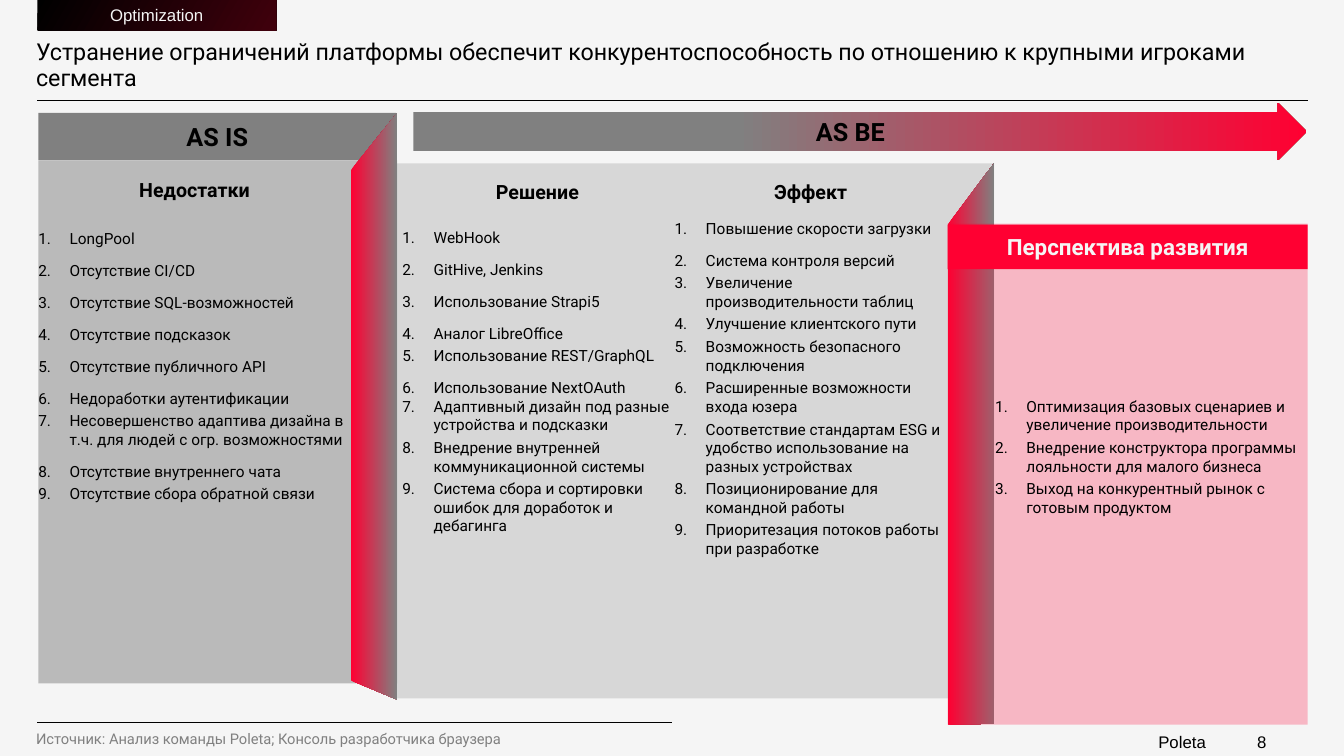
from lxml.etree import SubElement
from pptx import Presentation
from pptx.dml.color import RGBColor
from pptx.enum.shapes import MSO_CONNECTOR as Link, MSO_SHAPE as Form
from pptx.enum.text import MSO_ANCHOR as Anchor, PP_ALIGN as Align
from pptx.oxml.ns import qn
from pptx.util import Inches, Pt

INK = {"black": "000000", "gray": "808080", "red": "FF0032",
       "wine": "40000C", "pale": "F5F5F5"}
WIDE, HIGH = 13.33, 7.5
LEFT, RIGHT = 0.37, 12.97      # page margins
BODY = 2.17                    # top of the lists
HANG = 0.31                    # list indent
FOLD = 0.46                    # width of a folded strip

TITLE = ("Устранение ограничений платформы обеспечит конкурентоспособность "
         "по отношению к крупными игроками сегмента")
SOURCE = "Источник: Анализ команды Poleta; Консоль разработчика браузера"

# heading, its top and height, left, width, list top and height, anchor,
# numbers of the loosely spaced items, numbers without space before, items
COLUMNS = [
    ("Недостатки", 1.59, 0.58, 0.38, 3.1, 2.18, 4.6, Anchor.TOP,
     {1, 2, 3, 4, 5, 6, 8}, {1}, [
         "LongPool",
         "Отсутствие CI/CD",
         "Отсутствие SQL-возможностей",
         "Отсутствие подсказок",
         "Отсутствие публичного API",
         "Недоработки аутентификации",
         "Несовершенство адаптива дизайна в т.ч. для людей с огр. возможностями",
         "Отсутствие внутреннего чата",
         "Отсутствие сбора обратной связи"]),
    ("Решение", 1.62, 0.56, 3.99, 2.68, BODY, 4.76, Anchor.TOP,
     {1, 2, 3, 4, 6}, {1, 7}, [
         "WebHook",
         "GitHive, Jenkins",
         "Использование Strapi5",
         "Аналог LibreOffice",
         "Использование REST/GraphQL",
         "Использование NextOAuth",
         "Адаптивный дизайн под разные устройства и подсказки",
         "Внедрение внутренней коммуникационной системы",
         "Система сбора и сортировки ошибок для доработок и дебагинга"]),
    ("Эффект", 1.62, 0.56, 6.69, 2.7, BODY, 4.76, Anchor.TOP,
     {2}, {1}, [
         "Повышение скорости загрузки",
         "Система контроля версий",
         "Увеличение производительности таблиц",
         "Улучшение клиентского пути",
         "Возможность безопасного подключения",
         "Расширенные возможности входа юзера",
         "Соответствие стандартам ESG и удобство использование на разных устройствах",
         "Позиционирование для командной работы",
         "Приоритезация потоков работы при разработке"]),
    ("", 0, 0, 9.87, 3.08, 2.67, 3.72, Anchor.MIDDLE, set(), {1}, [
        "Оптимизация базовых сценариев и увеличение производительности",
        "Внедрение конструктора программы лояльности для малого бизнеса",
        "Выход на конкурентный рынок с готовым продуктом"]),
]


def tint(name):
    return RGBColor.from_string(INK[name])


def style(para, size, color="black", bold=False, face="Roboto"):
    font = para.font
    font.name, font.size, font.bold = face, Pt(size), bold
    font.color.rgb = tint(color)


def write(shape, text, size, color="black", bold=False, face="Roboto",
          align=Align.LEFT):
    frame = shape.text_frame
    frame.word_wrap = True
    frame.vertical_anchor = Anchor.MIDDLE
    para = frame.paragraphs[0]
    para.text, para.alignment = text, align
    style(para, size, color, bold, face)
    return para


def label(box, *args, **kw):
    return write(slide.shapes.add_textbox(*map(Inches, box)), *args, **kw)


def plain(shape):
    shape.shadow.inherit = False
    shape.line.fill.background()
    return shape


def solid(shape, color, alpha=100):
    """Fill with one colour; alpha is the opacity in percent."""
    shape.fill.solid()
    shape.fill.fore_color.rgb = tint(color)
    if alpha < 100:
        node = shape.fill._xPr.find(".//" + qn("a:srgbClr"))
        SubElement(node, qn("a:alpha"), val=str(alpha * 1000))


def blend(shape, first, last, start=0, angle=0):
    fill = shape.fill
    fill.gradient()
    fill.gradient_angle = angle
    for stop, color, spot in zip(fill.gradient_stops, (first, last), (start, 1)):
        stop.color.rgb, stop.position = tint(color), spot


def block(box, form=Form.RECTANGLE):
    return plain(slide.shapes.add_shape(form, *map(Inches, box)))


def fold(left, outer, inner):
    """Strip whose left edge spans inner and right edge spans outer."""
    right = left + FOLD
    pen = slide.shapes.build_freeform(Inches(right), Inches(outer[1]), 1)
    pen.add_line_segments([(Inches(x), Inches(y)) for x, y in (
        (left, inner[1]), (left, inner[0]), (right, outer[0]))])
    blend(plain(pen.convert_to_shape()), "red", "gray")


def rule(end, y):
    line = slide.shapes.add_connector(
        Link.STRAIGHT, Inches(LEFT), Inches(y), Inches(end), Inches(y))
    line.line.color.rgb, line.line.width = tint("black"), Pt(0.5)
    SubElement(line._element.spPr, qn("a:effectLst"))


def listing(box, anchor, loose, tight, items):
    frame = slide.shapes.add_textbox(*map(Inches, box)).text_frame
    frame.word_wrap, frame.vertical_anchor = True, anchor
    frame.margin_left = frame.margin_right = 0
    frame.margin_top = frame.margin_bottom = 0
    for n, item in enumerate(items, 1):
        para = frame.paragraphs[0] if n == 1 else frame.add_paragraph()
        para.text = item
        para.line_spacing = 1.5 if n in loose else 1.0
        para.space_before = Pt(0 if n in tight else 3)
        props = para._p.get_or_add_pPr()
        props.set("marL", str(Inches(HANG)))
        props.set("indent", str(-Inches(HANG)))
        SubElement(props, qn("a:buFont"), typeface="+mj-lt")
        SubElement(props, qn("a:buAutoNum"), type="arabicPeriod")
        style(para, 11)


deck = Presentation()
deck.slide_width, deck.slide_height = Inches(WIDE), Inches(HIGH)
slide = deck.slides.add_slide(deck.slide_layouts[6])
slide.background.fill.solid()
slide.background.fill.fore_color.rgb = tint("pale")

# Panels, back to front
solid(block((0.38, 1.59, 3.56, 5.19)), "gray", 50)
asis = block((0.38, 1.12, 3.55, 0.47))
solid(asis, "gray")
write(asis, "AS IS", 18, bold=True, align=Align.CENTER)
fold(3.48, (1.12, 6.94), (1.69, 6.75))
solid(block((3.93, 1.62, 5.93, 5.31)), "gray", 25)
asbe = block((4.1, 1.02, 8.86, 0.57), Form.RIGHT_ARROW)
asbe.adjustments[0], asbe.adjustments[1] = 0.67, 0.5
blend(asbe, "gray", "red", start=0.36)
write(asbe, "AS BE", 18, bold=True, align=Align.CENTER)
fold(9.4, (1.62, 7.18), (2.23, 7.19))
solid(block((9.4, 2.22, 3.57, 4.97)), "red", 25)
future = block((9.4, 2.23, 3.57, 0.44))
solid(future, "red")
write(future, "Перспектива развития", 16, "pale", True, align=Align.CENTER)

# Title, tag and footer
label((0.26, 0.31, 12.7, 0.69), TITLE, 16.6).line_spacing = 0.9
tag = block((LEFT, 0, 2.37, 0.3))
blend(tag, "black", "wine", angle=330)
write(tag, "Optimization", 12, "pale", face="Arial", align=Align.CENTER)
rule(RIGHT, 1)
rule(6.67, 7.17)
label((0.26, 7.17, 7.23, 0.32), SOURCE, 10.5, "gray")
for text, left in (("Poleta", 11.39), ("8", 12.37)):
    label((left, 7.22, 0.9, 0.28), text, 12, face="Arial")

# Columns
for head, top, tall, left, wide, start, deep, *rest in COLUMNS:
    if head:
        label((left, top, wide, tall), head, 14, bold=True, align=Align.CENTER)
    listing((left, start, wide, deep), *rest)

deck.save("out.pptx")
